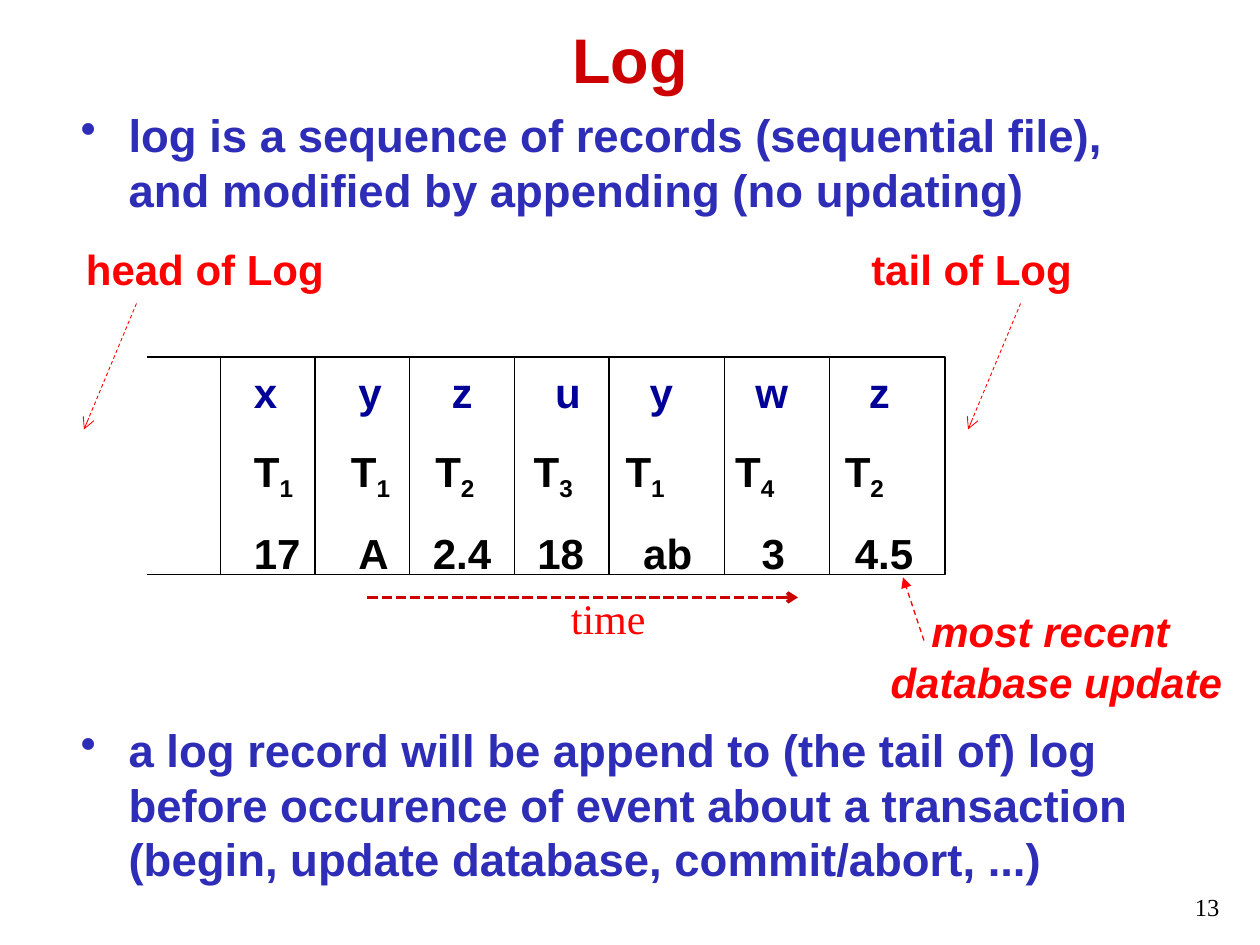
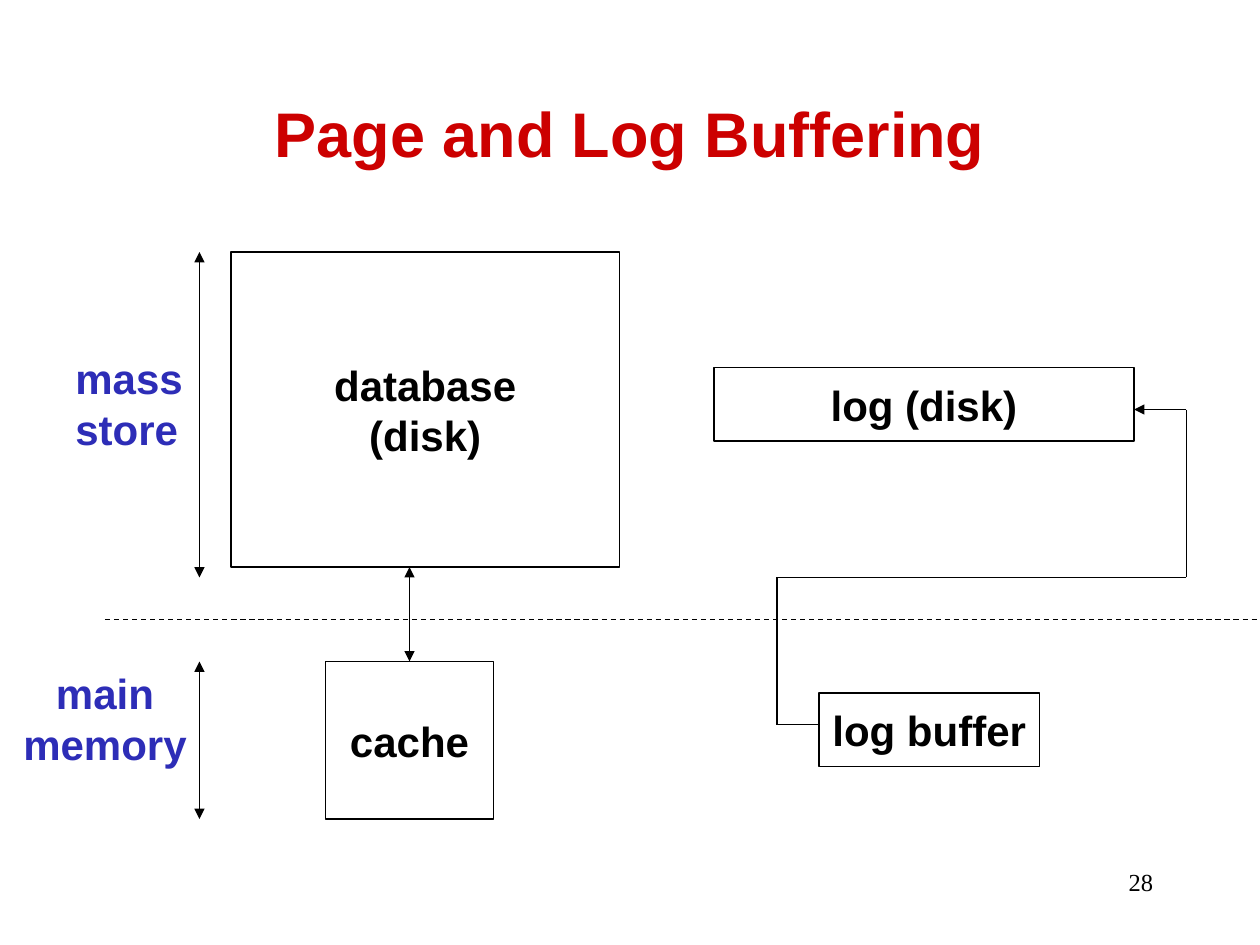
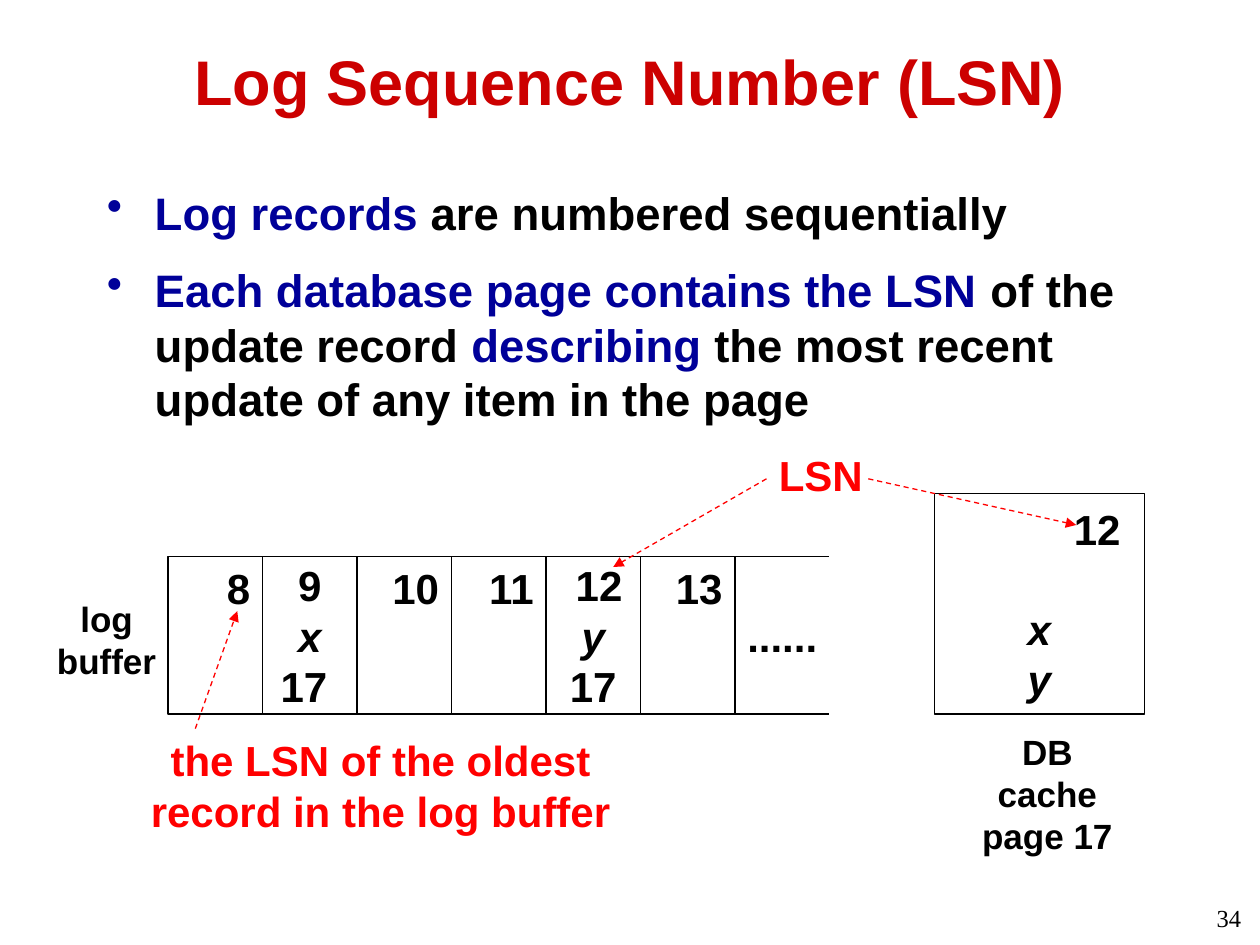
from lxml.etree import SubElement
from pptx import Presentation
from pptx.dml.color import RGBColor
from pptx.enum.dml import MSO_LINE
from pptx.enum.shapes import MSO_CONNECTOR, MSO_SHAPE
from pptx.enum.text import MSO_ANCHOR, PP_ALIGN
from pptx.oxml.ns import qn
from pptx.util import Inches, Pt

BLACK, WHITE = "000000", "FFFFFF"
TITLE_RED, RED = "CC0000", "FF0000"
BLUE, NAVY = "2D2DB7", "000099"
LEFT, CENTER, RIGHT = PP_ALIGN.LEFT, PP_ALIGN.CENTER, PP_ALIGN.RIGHT

deck = Presentation()
deck.slide_width, deck.slide_height = Inches(10), Inches(7.5)
unit = deck.slide_width / 120


def write(page, at, lines, size=24, color=BLACK, align=LEFT, inset=0.1,
          middle=False, border=False, bullet=False, font="Arial"):
    area = [round(value * unit) for value in at]
    if border:
        box = page.shapes.add_shape(MSO_SHAPE.RECTANGLE, *area)
        box.shadow.inherit = False
        box.fill.solid()
        box.fill.fore_color.rgb = RGBColor.from_string(WHITE)
        box.line.color.rgb = RGBColor.from_string(BLACK)
        box.line.width = Pt(0.75)
    else:
        box = page.shapes.add_textbox(*area)
    frame = box.text_frame
    frame.word_wrap = True
    frame.margin_left = frame.margin_right = Inches(inset)
    frame.vertical_anchor = MSO_ANCHOR.MIDDLE if middle else MSO_ANCHOR.TOP
    for number, line in enumerate(lines):
        paragraph = frame.add_paragraph() if number else frame.paragraphs[0]
        paragraph.alignment = align
        if bullet:
            properties = paragraph._p.get_or_add_pPr()
            properties.set("marL", str(Inches(0.38)))
            properties.set("indent", str(-Inches(0.38)))
            SubElement(properties, qn("a:buChar")).set("char", "•")
        for piece in line.split("|"):
            span = paragraph.add_run()
            span.text = piece
            span.font.name = font
            span.font.size = Pt(size)
            span.font.bold = font == "Arial"
            span.font.color.rgb = RGBColor.from_string(color)
    return frame.paragraphs


def connect(page, start, end, color=BLACK, width=0.75, dash=None, head=None, tail=None):
    ends = [round(value * unit) for value in (*start, *end)]
    line = page.shapes.add_connector(MSO_CONNECTOR.STRAIGHT, *ends)
    line.line.color.rgb = RGBColor.from_string(color)
    line.line.width = Pt(width)
    if dash:
        line.line.dash_style = dash
    properties = line._element.spPr
    for tag, kind in (("a:headEnd", head), ("a:tailEnd", tail)):
        if kind:
            SubElement(properties.get_or_add_ln(), qn(tag)).set("type", kind)
    SubElement(properties, qn("a:effectLst"))


pages = []
for title, title_top, number, number_area in (
    ("Log", 1.3, "13", (104.2, 84.4, 13.1, 3.8)),
    ("Page and Log Buffering", 8.3, "28", (86, 82, 25, 6)),
    ("Log Sequence Number (LSN)", 3.4, "34", (94.4, 85.4, 25, 3.8)),
):
    page = deck.slides.add_slide(deck.slide_layouts[6])
    write(page, (9, title_top, 102, 8.5), [title], 36, TITLE_RED, CENTER, middle=True)
    write(page, number_area, [number], 14, align=RIGHT, font="Times New Roman")
    pages.append(page)
log_page, buffer_page, lsn_page = pages

for top, height, text in (
    (9.6, 11.6, "log is a sequence of records (sequential file), and modified by appending (no updating)"),
    (68.2, 16.9, "a log record will be append to (the tail of) log before occurence of event "
                 "about a transaction (begin, update database, commit/abort, ...)"),
):
    write(log_page, (6.5, top, 105.2, height), [text], 26, BLUE, bullet=True)

log_top, log_bottom = 34, 54.7
write(log_page, (21, log_top, 69, log_bottom - log_top), [], border=True)
for column in (30, 39, 49, 58, 69, 79):
    connect(log_page, (column, log_top), (column, log_bottom))
for row in (log_top, log_bottom):
    connect(log_page, (21.6, row), (14, row))

records = write(log_page, (23, 31.9, 69, 23), [
    "\t".join("xyzuywz"),
    "\t".join(f"T|{transaction}|" for transaction in "1123142"),
    "\t".join(("17", "A", "2.4", "18", "ab", "3", "4.5")),
])
record_stops = (
    (0.83, 1.57, 2.39, 3.14, 3.98, 4.88),
    (0.77, 1.44, 2.22, 2.95, 3.82, 4.69),
    (0.83, 1.42, 2.25, 3.09, 4.03, 4.77),
)
for paragraph, stops in zip(records, record_stops):
    tabs = SubElement(paragraph._p.get_or_add_pPr(), qn("a:tabLst"))
    for stop in stops:
        tab = SubElement(tabs, qn("a:tab"))
        tab.set("pos", str(Inches(stop)))
        tab.set("algn", "l")
    paragraph.line_spacing = 1.5
records[0].runs[0].font.color.rgb = RGBColor.from_string(NAVY)
for span in records[1].runs[1::2]:
    span.font._element.set("baseline", "-25000")

for text, left, arrow_left in (("head of Log", 7, 8), ("tail of Log", 81.8, 92.2)):
    write(log_page, (left, 22.6, 32, 6), [text], color=RED)
    connect(log_page, (arrow_left + 5, 28.9), (arrow_left, 40.9), RED, 0.5, MSO_LINE.DASH, tail="arrow")

connect(log_page, (35, 56.9), (76, 56.9), TITLE_RED, 2, MSO_LINE.SQUARE_DOT, tail="arrow")
write(log_page, (53.2, 55.8, 12, 6.1), ["time"], color=RED, font="Times New Roman")
for paragraph in write(log_page, (83.6, 57.1, 34, 10.9), ["most recent ", "database update"],
                       color=RED, align=CENTER, inset=0):
    paragraph.runs[0].font.italic = True
connect(log_page, (88, 61), (86, 55), RED, dash=MSO_LINE.DASH, tail="triangle")

for area, lines in (
    ((22, 24, 37, 30), ["database", "(disk)"]),
    ((68, 35, 40, 7), ["log (disk)"]),
    ((31, 63, 16, 15), ["cache"]),
    ((78, 66, 21, 7), ["log buffer"]),
):
    write(buffer_page, area, lines, align=CENTER, inset=0, middle=True, border=True)
for column, top, bottom in ((39, 54, 63), (19, 24, 55), (19, 63, 78)):
    connect(buffer_page, (column, top), (column, bottom), head="triangle", tail="triangle")
write(buffer_page, (6, 33, 15, 10.8), ["mass", "store"], color=BLUE)
write(buffer_page, (1, 63, 18, 10.8), ["main", "memory"], color=BLUE, align=CENTER, inset=0)

route = [(78, 69), (74, 69), (74, 55), (113, 55), (113, 39), (108, 39)]
for start, end in zip(route, route[1:]):
    connect(buffer_page, start, end, tail="triangle" if end == route[-1] else None)
connect(buffer_page, (10, 59), (120, 59), dash=MSO_LINE.DASH)

points = write(lsn_page, (9, 17, 102, 33), [
    "Log records| are numbered sequentially",
    "Each database page contains the LSN| of the update record |describing"
    "| the most recent update of any item in the page",
], 26, bullet=True)
points[1].space_before = Pt(13)
for paragraph in points:
    for span in paragraph.runs[::2]:
        span.font.color.rgb = RGBColor.from_string(NAVY)

cached = write(lsn_page, (89, 47, 20, 21), ["12", "x", "y"], align=CENTER, inset=0.19,
               middle=True, border=True)
cached[0].alignment = RIGHT
cached[1].space_before = Pt(28)
write(lsn_page, (91, 69, 17.5, 9.2), ["DB cache", "page 17"], 20, align=CENTER, inset=0.15)
write(lsn_page, (4.2, 56.3, 11.9, 9.2), ["log", "buffer"], 20, align=CENTER, inset=0)

cell_left, cell_top, cell_width, cell_height = 16, 53, 9, 15
cells = (["8"], ["9", "x", "17 "], ["10"], ["11"], [" 12", "y", "17"], ["13"])
italic = cached[1:]
for index, lines in enumerate(cells):
    full = len(lines) > 1
    area = (cell_left + index * cell_width, cell_top, cell_width, cell_height)
    entry = write(lsn_page, area, lines, align=CENTER if full else RIGHT,
                  inset=0 if full else 0.1, middle=full, border=True)
    italic += entry[1:2]
for paragraph in italic:
    paragraph.runs[0].font.italic = True

open_left = cell_left + len(cells) * cell_width
write(lsn_page, (open_left, cell_top, cell_width, cell_height), ["......"],
      align=CENTER, inset=0, middle=True)
for row in (cell_top, cell_top + cell_height):
    connect(lsn_page, (open_left, row), (open_left + cell_width, row))

write(lsn_page, (73, 42.2, 12, 6), ["LSN"], color=RED)
write(lsn_page, (12.5, 69.4, 47.5, 10.9), ["the LSN of the oldest record in the log buffer"],
      color=RED, align=CENTER)
for start, end in (
    ((82.7, 45.6), (102.5, 50)),
    ((73, 45.6), (58.4, 54)),
    ((18.6, 69.4), (22.6, 58.2)),
):
    connect(lsn_page, start, end, RED, dash=MSO_LINE.DASH, tail="triangle")

deck.save("out.pptx")
